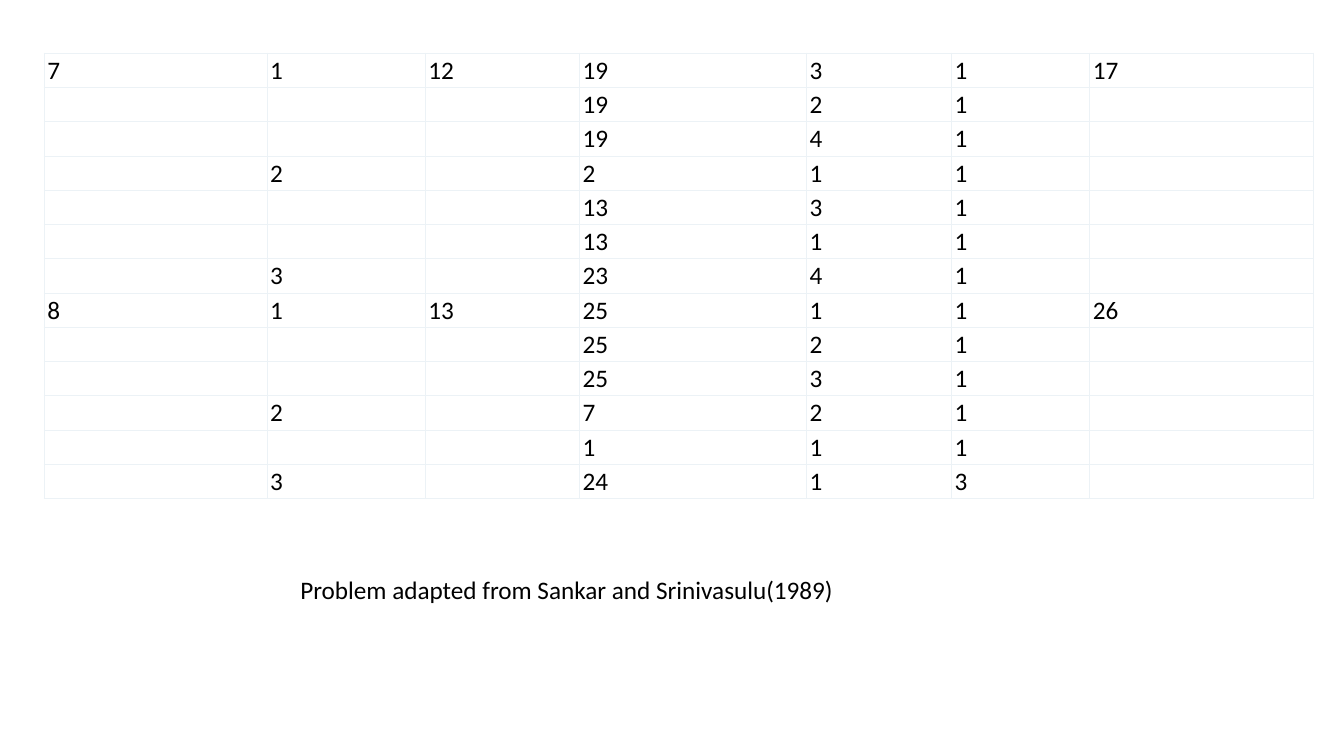
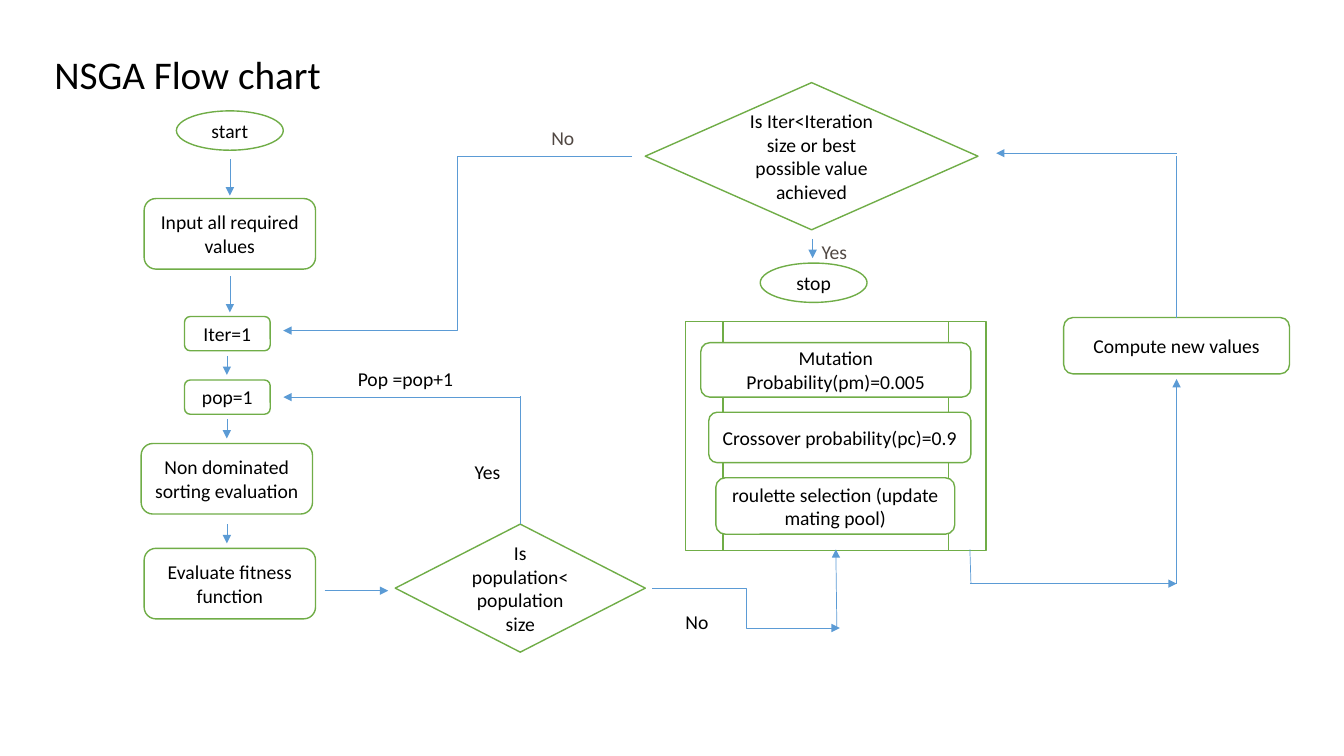
from lxml.etree import SubElement
from pptx import Presentation
from pptx.dml.color import RGBColor
from pptx.enum.shapes import MSO_CONNECTOR, MSO_SHAPE
from pptx.enum.text import MSO_ANCHOR, MSO_AUTO_SIZE, PP_ALIGN
from pptx.oxml.ns import qn
from pptx.util import Inches, Pt

FONT = "Calibri"
BLACK, WHITE, GREY = "000000", "FFFFFF", "514843"
GREEN, BLUE, GRID = "70AD47", "5B9BD5", "ECF2F6"


def color(value):
    """Turn a hex string into a colour."""
    return RGBColor.from_string(value)


class Deck:
    """Hold the presentation, its style and the current slide."""

    def __init__(self):
        """Start an empty widescreen presentation."""
        self.prs = Presentation()
        self.prs.slide_width, self.prs.slide_height = Inches(13.33), Inches(7.5)
        self.s = None

    def slide(self):
        """Add a blank slide and make it current."""
        self.s = self.prs.slides.add_slide(self.prs.slide_layouts[6])

    def run(self, p, text, size, ink=BLACK):
        """Add one styled run to a paragraph."""
        r = p.add_run()
        r.text = text
        r.font.name, r.font.size = FONT, Pt(size)
        r.font.color.rgb = color(ink)

    def text(self, x, y, w, h, text, size=14, ink=BLACK):
        """Add a one-line text box that fits its text."""
        tf = self.s.shapes.add_textbox(*map(Inches, (x, y, w, h))).text_frame
        tf.word_wrap = False
        tf.auto_size = MSO_AUTO_SIZE.SHAPE_TO_FIT_TEXT
        self.run(tf.paragraphs[0], text, size, ink)

    def shape(self, kind, x, y, w, h, *lines):
        """Add a white shape with a green outline and centred lines."""
        sp = self.s.shapes.add_shape(kind, *map(Inches, (x, y, w, h)))
        sp.shadow.inherit = False
        sp.fill.solid()
        sp.fill.fore_color.rgb = color(WHITE)
        sp.line.color.rgb = color(GREEN)
        sp.line.width = Pt(1)
        tf = sp.text_frame
        tf.word_wrap = True
        tf.vertical_anchor = MSO_ANCHOR.MIDDLE
        for i, line in enumerate(lines):
            p = tf.add_paragraph() if i else tf.paragraphs[0]
            p.alignment = PP_ALIGN.CENTER
            self.run(p, line, 14)

    def line(self, x1, y1, x2, y2, arrow=True, kind=MSO_CONNECTOR.STRAIGHT):
        """Add a thin blue connector, with an arrowhead at its end by default."""
        c = self.s.shapes.add_connector(kind, *map(Inches, (x1, y1, x2, y2)))
        c.line.color.rgb = color(BLUE)
        c.line.width = Pt(0.5)
        spPr = c.element.spPr
        if arrow:
            SubElement(spPr.find(qn("a:ln")), qn("a:tailEnd"), type="triangle")
        SubElement(spPr, qn("a:effectLst"))

    def table(self, x, y, widths, row_height, rows):
        """Add a plain white table with a pale grid."""
        sizes = (x, y, sum(widths), row_height * len(rows))
        table = self.s.shapes.add_table(
            len(rows), len(widths), *map(Inches, sizes)).table
        table.first_row = table.horz_banding = False
        for column, width in zip(table.columns, widths):
            column.width = Inches(width)
        for row, values in zip(table.rows, rows):
            row.height = Inches(row_height)
            for cell, value in zip(row.cells, values):
                self.cell(cell, value)

    def cell(self, cell, value):
        """Style one table cell and write its value."""
        cell.margin_left = cell.margin_right = Inches(0.03)
        cell.margin_top, cell.margin_bottom = Inches(0.02), Inches(0.01)
        tcPr = cell._tc.get_or_add_tcPr()
        for side in ("lnL", "lnR", "lnT", "lnB"):
            ln = SubElement(tcPr, qn("a:" + side), w=str(Pt(0.75)))
            fill = SubElement(ln, qn("a:solidFill"))
            SubElement(fill, qn("a:srgbClr"), val=GRID)
        cell.fill.solid()
        cell.fill.fore_color.rgb = color(WHITE)
        p = cell.text_frame.paragraphs[0]
        p.font.size = Pt(18)
        if value:
            self.run(p, value, 18)


def problem_data(deck):
    """Build the slide with the end of the problem table."""
    deck.slide()
    rows = [
        ("7", "1", "12", "19", "3", "1", "17"),
        ("", "", "", "19", "2", "1", ""),
        ("", "", "", "19", "4", "1", ""),
        ("", "2", "", "2", "1", "1", ""),
        ("", "", "", "13", "3", "1", ""),
        ("", "", "", "13", "1", "1", ""),
        ("", "3", "", "23", "4", "1", ""),
        ("8", "1", "13", "25", "1", "1", "26"),
        ("", "", "", "25", "2", "1", ""),
        ("", "", "", "25", "3", "1", ""),
        ("", "2", "", "7", "2", "1", ""),
        ("", "", "", "1", "1", "1", ""),
        ("", "3", "", "24", "1", "3", ""),
    ]
    deck.table(0.44, 0.53, (2.21, 1.57, 1.53, 2.25, 1.44, 1.37, 2.22), 0.34, rows)
    deck.text(2.88, 5.65, 5.55, 0.4,
              "Problem adapted from Sankar and Srinivasulu(1989)", 18)


def flow_chart(deck):
    """Build the NSGA flow chart slide."""
    deck.slide()
    deck.text(0.44, 0.45, 2.88, 0.57, "NSGA Flow chart", 28)

    for x, y, label in ((1.75, 1.1, "start"), (7.54, 2.61, "stop")):
        deck.shape(MSO_SHAPE.OVAL, x, y, 1.06, 0.39, label)
    deck.shape(MSO_SHAPE.DIAMOND, 3.92, 5.2, 2.48, 1.27,
               "Is population<population size")
    deck.shape(MSO_SHAPE.DIAMOND, 6.4, 0.82, 3.3, 1.46,
               "Is Iter<Iteration size or best possible value achieved")
    deck.shape(MSO_SHAPE.FLOWCHART_PREDEFINED_PROCESS, 6.8, 3.19, 2.98, 2.27)

    steps = [
        (1.43, 1.97, 1.7, 0.7, "Input all required values"),
        (1.83, 3.14, 0.85, 0.34, "Iter=1"),
        (1.83, 3.77, 0.85, 0.34, "pop=1"),
        (1.4, 4.4, 1.7, 0.7, "Non dominated sorting evaluation"),
        (1.43, 5.44, 1.7, 0.7, "Evaluate fitness function"),
        (7.1, 4.74, 2.37, 0.56, "roulette selection (update mating pool)"),
        (7.03, 4.09, 2.6, 0.5, "Crossover probability(pc)=0.9"),
        (6.95, 3.4, 2.68, 0.54, "Mutation", "Probability(pm)=0.005"),
        (10.55, 3.15, 2.24, 0.56, "Compute new values"),
    ]
    for step in steps:
        deck.shape(MSO_SHAPE.ROUNDED_RECTANGLE, *step)

    down_arrows = [(2.28, 1.58, 0.36), (2.28, 2.74, 0.36), (2.25, 3.53, 0.19),
                   (2.25, 4.16, 0.19), (2.25, 5.2, 0.19), (8.06, 2.37, 0.19)]
    for x, y, length in down_arrows:
        deck.line(x, y, x, y + length)
    arrows = [(3.22, 5.86, 3.85, 5.86), (5.16, 3.94, 2.81, 3.94),
              (11.67, 1.52, 9.88, 1.52), (9.62, 5.79, 11.67, 5.79),
              (8.3, 6.23, 8.29, 5.45), (11.67, 5.79, 11.67, 3.76)]
    for ends in arrows:
        deck.line(*ends)
    plain_lines = [(5.16, 5.2, 5.16, 3.93), (9.63, 5.79, 9.62, 5.45),
                   (11.67, 3.15, 11.67, 1.55)]
    for ends in plain_lines:
        deck.line(*ends, arrow=False)
    for ends in ((6.27, 1.55, 2.81, 3.28), (6.47, 5.84, 8.33, 6.23)):
        deck.line(*ends, kind=MSO_CONNECTOR.ELBOW)

    labels = [(3.45, 3.59, 1.29, "Pop =pop+1", BLACK), (4.61, 4.51, 0.5, "Yes", BLACK),
              (6.7, 6, 0.46, "No", BLACK), (8.05, 2.33, 0.5, "Yes", GREY),
              (5.37, 1.2, 0.46, "No", GREY)]
    for x, y, w, label, ink in labels:
        deck.text(x, y, w, 0.34, label, ink=ink)


deck = Deck()
problem_data(deck)
flow_chart(deck)
deck.prs.save("out.pptx")
